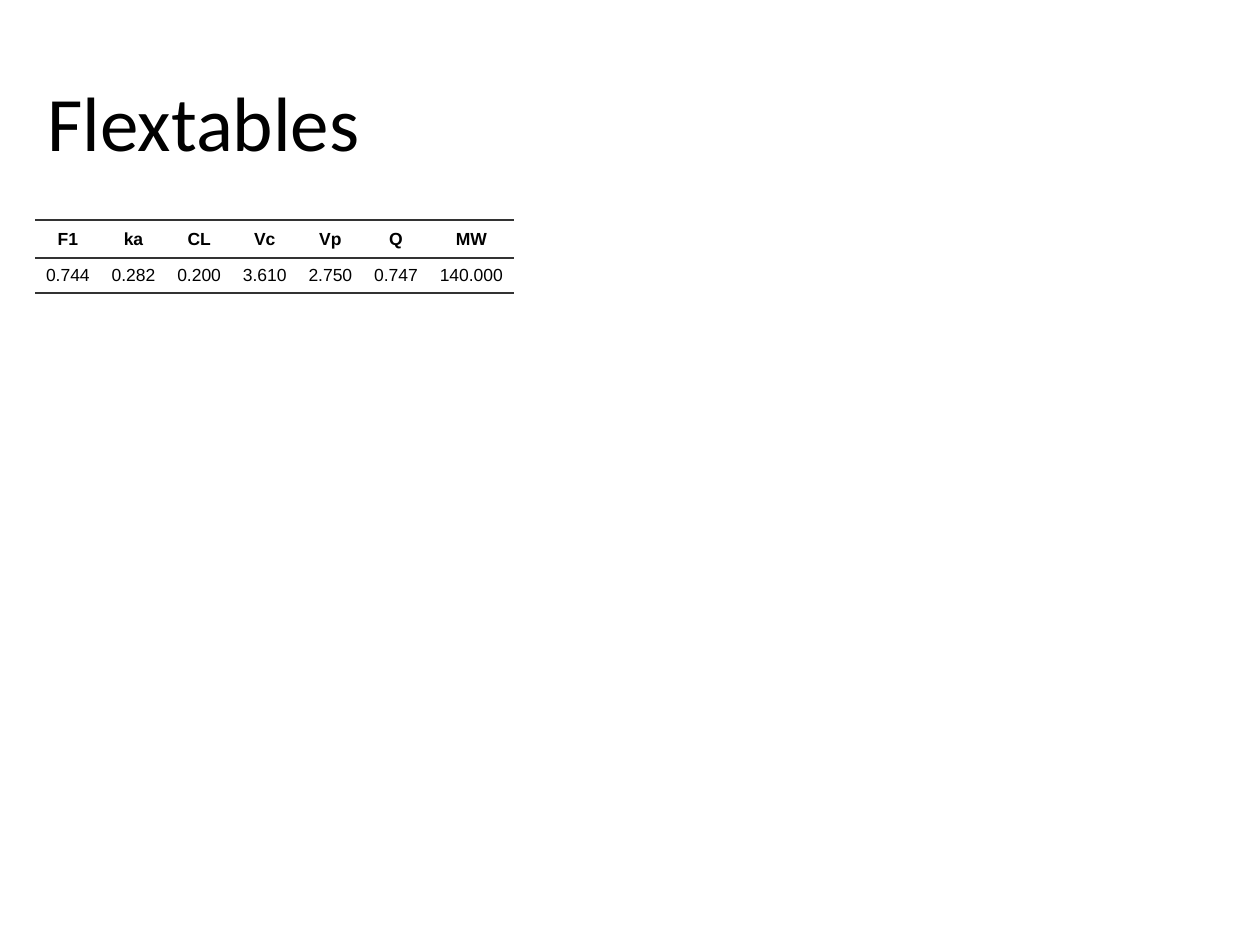
"""Build a slide with a title and a small parameter table."""
from lxml import etree
from pptx import Presentation
from pptx.dml.color import RGBColor
from pptx.enum.text import MSO_ANCHOR, PP_ALIGN
from pptx.oxml.ns import qn
from pptx.util import Emu, Pt

MIDDLE, BOTTOM = MSO_ANCHOR.MIDDLE, MSO_ANCHOR.BOTTOM
CENTER, LEFT = PP_ALIGN.CENTER, PP_ALIGN.LEFT

TITLE = "Flextables"
ROWS = [
    ("F1", "ka", "CL", "Vc", "Vp", "Q", "MW"),
    ("0.744", "0.282", "0.200", "3.610", "2.750", "0.747", "140.000"),
]
SLIDE = (1260, 945)
TITLE_BOX = (35, 76, 1191, 97)
TABLE_AT, TABLE_WIDTH, LAST_COLUMN = (35, 220), 479, 85
ROW_HEIGHTS = (38, 35)
TEXT, RULE = "000000", "333333"
TITLE_FONT = {"name": "Calibri", "size": Pt(44), "bold": False}
TITLE_PARA = {"alignment": LEFT, "line_spacing": 0.8}
CELL_FONT = {"name": "Arial", "size": Pt(10)}
CELL_PARA = {"alignment": CENTER, "space_before": Pt(2), "space_after": Pt(2)}
CELL_FORMAT = {"vertical_anchor": MIDDLE, "margin_left": 0, "margin_right": 0,
               "margin_top": 0, "margin_bottom": 0}
TABLE_FLAGS = {"first_row": False, "horz_banding": False}


def px(n):
    return Emu(round(n * 914400 / 126))


def rgb(value):
    return RGBColor.from_string(value)


def apply(target, values):
    for name, value in values.items():
        setattr(target, name, value)


def write(tf, text, font, para):
    p = tf.paragraphs[0]
    apply(p, para)
    r = p.add_run()
    r.text = text
    apply(r.font, font)
    r.font.color.rgb = rgb(TEXT)
    return p


def set_borders(cell):
    tc_pr = cell._tc.get_or_add_tcPr()
    for i, side in enumerate(("lnL", "lnR", "lnT", "lnB")):
        ln = etree.Element(qn(f"a:{side}"), w=str(Pt(1)))
        if side in ("lnT", "lnB"):
            fill = etree.SubElement(ln, qn("a:solidFill"))
            etree.SubElement(fill, qn("a:srgbClr"), val=RULE)
        else:
            etree.SubElement(ln, qn("a:noFill"))
        tc_pr.insert(i, ln)


def add_title(s):
    tf = s.shapes.add_textbox(*map(px, TITLE_BOX)).text_frame
    tf.word_wrap = True
    tf.vertical_anchor = BOTTOM
    write(tf, TITLE, TITLE_FONT, TITLE_PARA)


def add_parameters(s):
    count = len(ROWS[0])
    size = (TABLE_WIDTH, sum(ROW_HEIGHTS))
    table = s.shapes.add_table(len(ROWS), count, *map(px, TABLE_AT + size)).table
    apply(table, TABLE_FLAGS)
    widths = [(TABLE_WIDTH - LAST_COLUMN) / (count - 1)] * (count - 1) + [LAST_COLUMN]
    for column, width in zip(table.columns, widths):
        column.width = px(width)
    for i, (values, height) in enumerate(zip(ROWS, ROW_HEIGHTS)):
        table.rows[i].height = px(height)
        for j, value in enumerate(values):
            cell = table.cell(i, j)
            apply(cell, CELL_FORMAT)
            cell.fill.background()
            p = write(cell.text_frame, value, {**CELL_FONT, "bold": i == 0}, CELL_PARA)
            for side in ("marL", "marR"):
                p._p.get_or_add_pPr().set(side, str(Pt(2)))
            set_borders(cell)


def main():
    prs = Presentation()
    prs.slide_width, prs.slide_height = map(px, SLIDE)
    s = prs.slides.add_slide(prs.slide_layouts[6])
    add_title(s)
    add_parameters(s)
    prs.save("out.pptx")


if __name__ == "__main__":
    main()
